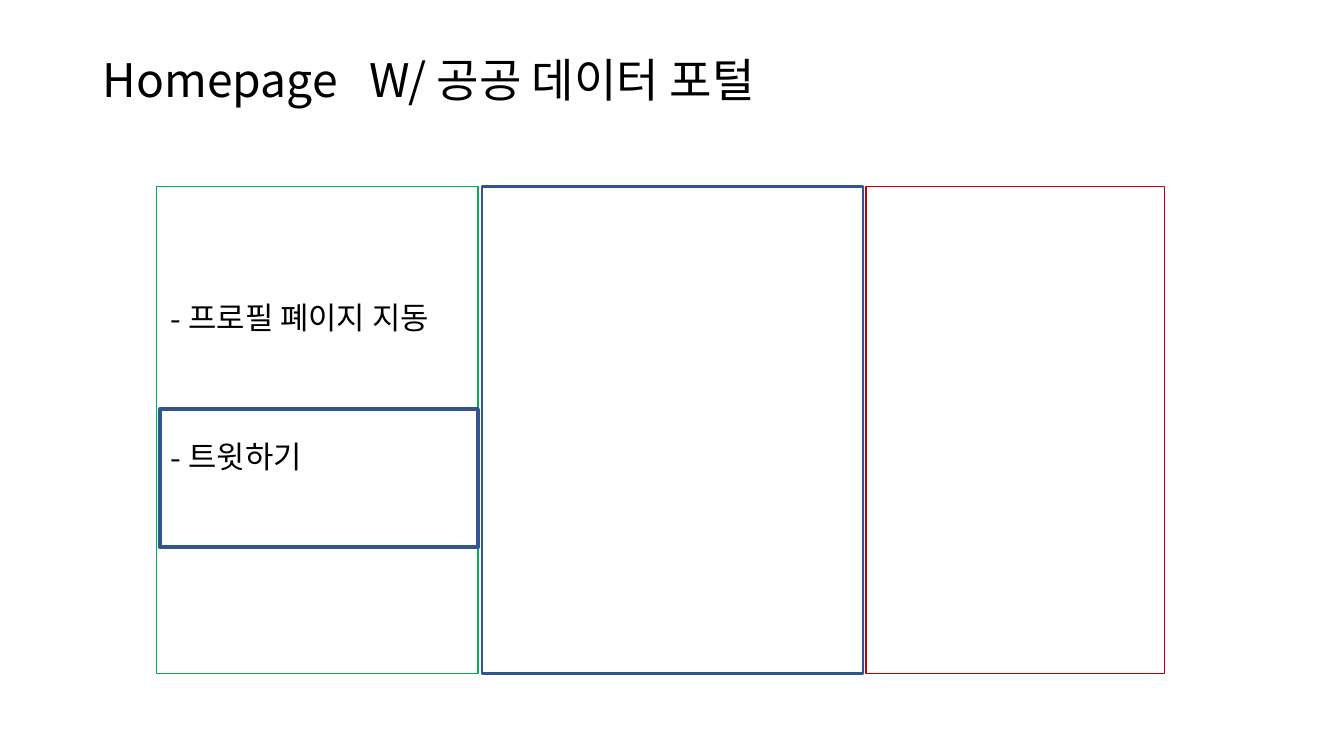
"""Builds the homepage wireframe slide with three panels and a tweet box."""
from lxml import etree
from pptx import Presentation
from pptx.dml.color import RGBColor
from pptx.enum.shapes import MSO_SHAPE
from pptx.enum.text import MSO_ANCHOR, MSO_AUTO_SIZE, PP_ALIGN
from pptx.oxml.ns import qn
from pptx.util import Inches, Pt

RECT = MSO_SHAPE.RECTANGLE
TOP = MSO_ANCHOR.TOP
LEFT = PP_ALIGN.LEFT
NO_FIT = MSO_AUTO_SIZE.NONE

FONT = "Noto Sans CJK KR"
COLORS = {"text": "000000", "blue": "325491", "red": "C00000", "green": "00B050"}
TITLE = "Homepage\tW/ 공공 데이터 포털"
TITLE_TAB = 2.64
MENU = ["프로필 폐이지 지동", "트윗하기"]
MENU_GAP = 73
BULLET_INDENT = 0.18

PANEL_TOP, PANEL_HEIGHT = 1.85, 4.83
PANELS = [
    (4.78, 3.78, "blue", 2),
    (8.59, 2.96, "red", 1),
    (1.55, 3.19, "green", 1),
]
TWEET_BOX = (1.59, 4.06, 3.15, 1.37)


def place(sp, left, top, width, height):
    sp.left, sp.top = Inches(left), Inches(top)
    sp.width, sp.height = Inches(width), Inches(height)


def setup_text(sp, margin_top):
    tf = sp.text_frame
    tf.word_wrap = True
    tf.auto_size = NO_FIT
    tf.vertical_anchor = TOP
    tf.margin_top = Inches(margin_top)
    return tf


def write(p, text, size):
    p.alignment = LEFT
    r = p.add_run()
    r.text = text
    r.font.name = FONT
    r.font.size = Pt(size)
    r.font.color.rgb = RGBColor.from_string(COLORS["text"])
    etree.SubElement(r.font._element, qn("a:ea"), typeface=FONT)


def add_frame(s, box, color, weight):
    sp = s.shapes.add_shape(RECT, *[Inches(v) for v in box])
    sp.shadow.inherit = False
    sp.fill.background()
    sp.line.color.rgb = RGBColor.from_string(COLORS[color])
    sp.line.width = Pt(weight)


def main():
    prs = Presentation()
    prs.slide_width, prs.slide_height = Inches(13.33), Inches(7.5)
    s = prs.slides.add_slide(prs.slide_layouts[1])

    title = s.shapes.title
    place(title, 0.92, 0.4, 11.5, 1.45)
    p = setup_text(title, 0.17).paragraphs[0]
    p.line_spacing = 0.9
    write(p, TITLE, 33)
    tabs = etree.SubElement(p._p.get_or_add_pPr(), qn("a:tabLst"))
    etree.SubElement(tabs, qn("a:tab"), pos=str(Inches(TITLE_TAB)), algn="l")

    menu = s.placeholders[1]
    place(menu, 1.59, 2.96, 3.19, 1.95)
    tf = setup_text(menu, 0)
    for i, item in enumerate(MENU):
        p = tf.add_paragraph() if i else tf.paragraphs[0]
        p.space_before = Pt(MENU_GAP * i)
        write(p, item, 22)
        pPr = p._p.get_or_add_pPr()
        pPr.set("marL", str(Inches(BULLET_INDENT)))
        pPr.set("indent", str(-Inches(BULLET_INDENT)))
        etree.SubElement(pPr, qn("a:buFont"), typeface=FONT)
        etree.SubElement(pPr, qn("a:buChar"), char="-")

    for left, width, color, weight in PANELS:
        add_frame(s, (left, PANEL_TOP, width, PANEL_HEIGHT), color, weight)
    add_frame(s, TWEET_BOX, "blue", 3)

    prs.save("out.pptx")


if __name__ == "__main__":
    main()
